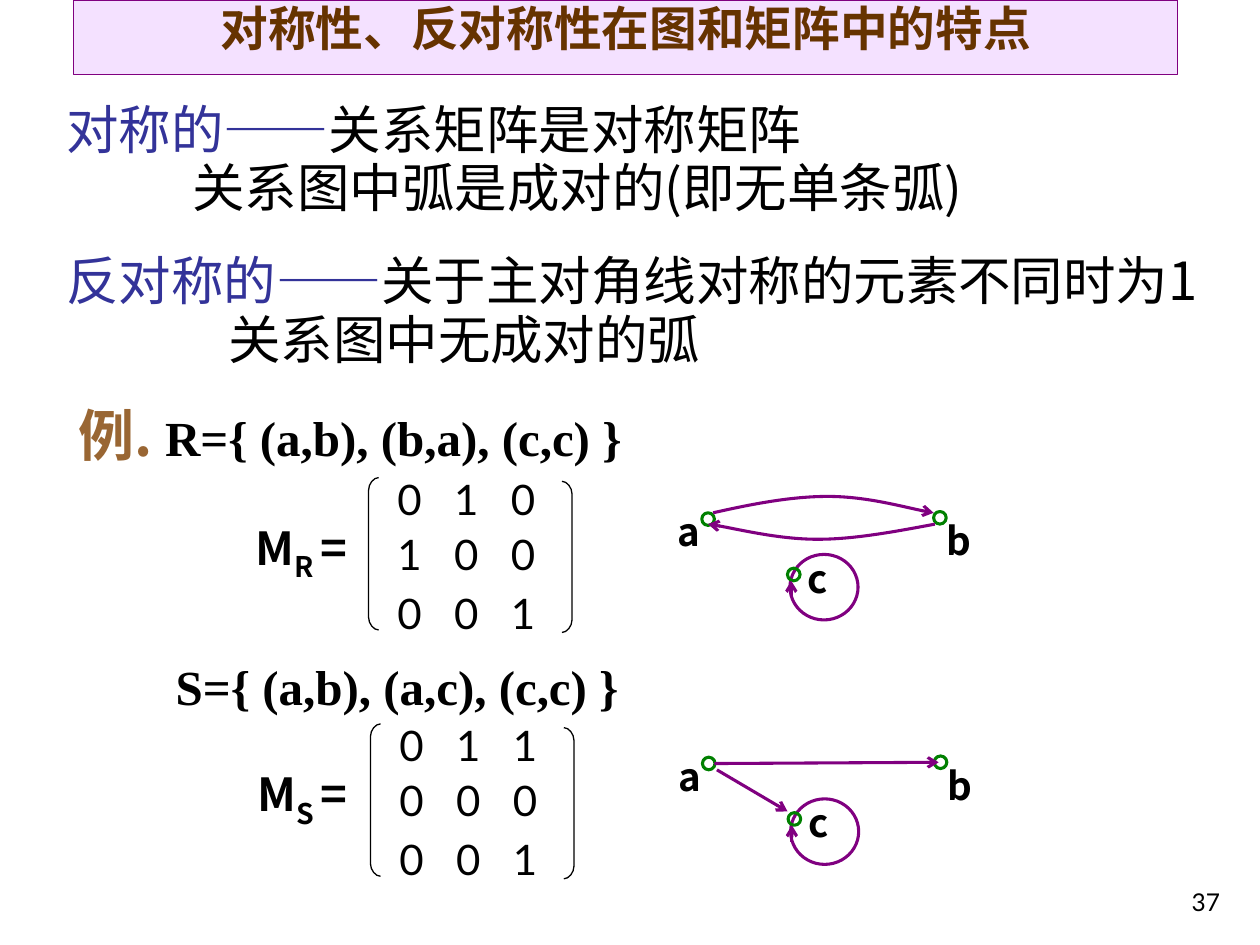
from dataclasses import dataclass
from typing import NamedTuple

from lxml import etree
from pptx import Presentation, util as u
from pptx.dml.color import RGBColor
from pptx.enum import shapes, text
from pptx.oxml import ns


@dataclass(frozen=True)
class Theme:
    black: str = "000000"
    banner: str = "F4E1FF"
    heading: str = "663300"
    term: str = "333399"
    example: str = "996633"
    arc: str = "800080"
    node: str = "008000"
    cjk: str = "Noto Sans CJK SC"
    sans: str = "Lato"
    serif: str = "Times New Roman"
    title_size: float = 27.2
    body_size: float = 30
    example_size: float = 32
    set_size: float = 28
    name_size: float = 26
    entry_size: float = 24
    node_size: float = 22
    number_size: float = 14
    arc_width: float = 1.75
    thin: float = 0.75


class Point(NamedTuple):
    col: float
    row: float

    def moved(self, other: "Point") -> "Point":
        return Point(self.col + other.col, self.row + other.row)


class Bezier(NamedTuple):
    first: Point
    second: Point
    end: Point


@dataclass(frozen=True)
class Relation:
    name: str
    matrix: tuple[str, ...]
    matrix_shift: Point
    graph_shift: Point
    arcs: tuple[tuple[Point, Point], ...] = ()
    bends: tuple[tuple[Point | Bezier, ...], ...] = ()


THEME = Theme()
COLUMNS, ROWS = 100, 75
CELL = u.Inches(0.1)
NODE = 1.0
MATRIX_PITCH = (33, 31.5, 33.7)

RELATIONS = (
    Relation("R", ("010", "100", "001"), Point(0, 0), Point(0, 0), bends=(
        (Point(56.6, 40.7),
         Bezier(Point(59.7, 40), Point(62.8, 39.4), Point(65.7, 39.4)),
         Bezier(Point(68.7, 39.4), Point(72.7, 40.5), Point(74.1, 40.7))),
        (Point(74.2, 41.6),
         Bezier(Point(71, 42.2), Point(67.8, 42.8), Point(64.9, 42.8)),
         Bezier(Point(61.9, 42.8), Point(57.7, 41.8), Point(56.2, 41.6))))),
    Relation("S", ("011", "000", "001"), Point(0.15, 19.55), Point(0.05, 19.4), arcs=(
        (Point(56.7, 60.6), Point(74.5, 60.5)),
        (Point(56.9, 61.1), Point(62.5, 64.4)))),
)


def grid(cells: float) -> int:
    return round(cells * CELL)


def color(value: str) -> RGBColor:
    return RGBColor.from_string(value)


def write(paragraph, words: str, *, size: float, font: str = THEME.cjk,
          ink: str = THEME.black, bold: bool = False, baseline: int = 0) -> None:
    run = paragraph.add_run()
    run.text = words
    run.font.size, run.font.bold, run.font.name = u.Pt(size), bold, font
    run.font.color.rgb = color(ink)
    props = run.font._element
    etree.SubElement(props, ns.qn("a:ea")).set("typeface", THEME.cjk)
    if baseline:
        props.set("baseline", str(baseline * 1000))


def prepare(frame, wrap: bool = False):
    frame.margin_left = frame.margin_right = frame.margin_top = frame.margin_bottom = 0
    frame.word_wrap = wrap
    frame.auto_size = text.MSO_AUTO_SIZE.NONE
    frame.vertical_anchor = text.MSO_ANCHOR.TOP
    return frame


def text_area(slide, at: Point, width: float, height: float, wrap: bool = False):
    box = slide.shapes.add_textbox(grid(at.col), grid(at.row), grid(width), grid(height))
    return prepare(box.text_frame, wrap)


def outline(shape, ink: str, width: float, arrow: bool = False) -> None:
    shape.line.color.rgb = color(ink)
    shape.line.width = u.Pt(width)
    if arrow:
        etree.SubElement(shape.line._get_or_add_ln(), ns.qn("a:tailEnd")).set("type", "arrow")


def ring(slide, at: Point, width: float, height: float, ink: str) -> None:
    oval = slide.shapes.add_shape(shapes.MSO_SHAPE.OVAL, grid(at.col), grid(at.row),
                                  grid(width), grid(height))
    oval.shadow.inherit = False
    oval.fill.background()
    outline(oval, ink, THEME.arc_width)


def arrow(slide, start: Point, end: Point) -> None:
    link = slide.shapes.add_connector(shapes.MSO_CONNECTOR.STRAIGHT,
                                      *(grid(v) for v in (*start, *end)))
    outline(link, THEME.arc, THEME.arc_width, arrow=True)
    etree.SubElement(link._element.spPr, ns.qn("a:effectLst"))


def curve(slide, parts: tuple[Point | Bezier, ...], ink: str, width: float,
          arrow: bool = False) -> None:
    start, *steps = parts
    builder = slide.shapes.build_freeform(grid(start.col), grid(start.row))
    for step in steps:
        points = step if isinstance(step, Bezier) else (step,)
        builder.add_line_segments([(grid(p.col), grid(p.row)) for p in points], close=False)
    shape = builder.convert_to_shape()
    lines = iter(shape._element.findall(".//" + ns.qn("a:lnTo")))
    for step in steps:
        line = next(lines)
        if isinstance(step, Bezier):
            line.tag = ns.qn("a:cubicBezTo")
            for _ in range(2):
                extra = next(lines)
                line.append(extra[0])
                extra.getparent().remove(extra)
    shape.shadow.inherit = False
    shape.fill.background()
    outline(shape, ink, width, arrow)


def bracket(slide, tip: Point, depth: float, height: float) -> None:
    side, half = tip.col + depth, tip.col + depth / 2
    top, bottom = tip.row, tip.row + height
    curve(slide, (
        tip,
        Bezier(Point(half, top), Point(side, top + 0.5), Point(side, top + 1)),
        Point(side, bottom - 1),
        Bezier(Point(side, bottom - 0.5), Point(half, bottom), Point(tip.col, bottom))),
        THEME.black, THEME.thin)


def draw_matrix(slide, relation: Relation) -> None:
    shift = relation.matrix_shift
    name = text_area(slide, Point(20.3, 41).moved(shift), 9, 6).paragraphs[0]
    write(name, "M", size=THEME.name_size, bold=True)
    write(name, relation.name + " ", size=THEME.set_size, bold=True, baseline=-25)
    write(name, "=", size=THEME.name_size, bold=True)
    bracket(slide, Point(30.05, 37.9).moved(shift), -0.8, 12.1)
    bracket(slide, Point(44.6, 38.2).moved(shift), 0.8, 12)
    frame = text_area(slide, Point(31.55, 37).moved(shift), 14, 14)
    for index, (entries, pitch) in enumerate(zip(relation.matrix, MATRIX_PITCH)):
        line = frame.add_paragraph() if index else frame.paragraphs[0]
        line.line_spacing = u.Pt(pitch)
        tabs = etree.SubElement(line._p.get_or_add_pPr(), ns.qn("a:tabLst"))
        for column in range(1, len(entries)):
            tab = etree.SubElement(tabs, ns.qn("a:tab"))
            tab.set("pos", str(grid(4.5 * column)))
            tab.set("algn", "l")
        write(line, "\t".join(entries), size=THEME.entry_size, font=THEME.sans)


def draw_graph(slide, relation: Relation) -> None:
    shift = relation.graph_shift
    ring(slide, Point(62.7, 44).moved(shift), 5.4, 5.2, THEME.arc)
    for label, node, caption in (("a", Point(55.7, 40.7), Point(53.8, 40.35)),
                                 ("b", Point(74.1, 40.6), Point(75.15, 41.05)),
                                 ("c", Point(62.5, 45.1), Point(64.1, 44.05))):
        ring(slide, node.moved(shift), NODE, NODE, THEME.node)
        line = text_area(slide, caption.moved(shift), 2.2, 4.5).paragraphs[0]
        write(line, label, size=THEME.node_size, bold=True)
    arrow(slide, Point(62.8, 47.4).moved(shift), Point(62.8, 46.1).moved(shift))
    for start, end in relation.arcs:
        arrow(slide, start, end)
    for parts in relation.bends:
        curve(slide, parts, THEME.arc, THEME.arc_width, arrow=True)


def draw_title(slide) -> None:
    title = slide.shapes.title
    title.left, title.top, title.width, title.height = map(grid, (5.85, 0, 87.6, 5.9))
    title.fill.solid()
    title.fill.fore_color.rgb = color(THEME.banner)
    outline(title, THEME.arc, THEME.thin)
    line = prepare(title.text_frame, wrap=True).paragraphs[0]
    line.alignment = text.PP_ALIGN.CENTER
    line.line_spacing = u.Pt(32)
    write(line, "对称性、反对称性在图和矩阵中的特点", size=THEME.title_size,
          ink=THEME.heading, bold=True)


def draw_definitions(slide) -> None:
    frame = text_area(slide, Point(5.25, 8), 94.75, 22, wrap=True)
    for index, (term, meaning, indent) in enumerate((
            ("对称的", "关系矩阵是对称矩阵", 0),
            ("", "关系图中弧是成对的(即无单条弧)", 10),
            ("反对称的", "关于主对角线对称的元素不同时为1", 0),
            ("", "关系图中无成对的弧", 12.85))):
        line = frame.add_paragraph() if index else frame.paragraphs[0]
        line.line_spacing = u.Pt(33.6)
        line._p.get_or_add_pPr().set("marL", str(grid(indent)))
        if term:
            line.space_before = u.Pt(19.5 if index else 0)
            write(line, term, size=THEME.body_size, ink=THEME.term)
            write(line, "——", size=THEME.body_size, ink=THEME.term, font=THEME.sans)
        write(line, meaning, size=THEME.body_size)


def main() -> None:
    deck = Presentation()
    deck.slide_width, deck.slide_height = grid(COLUMNS), grid(ROWS)
    slide = deck.slides.add_slide(deck.slide_layouts[5])
    draw_title(slide)
    draw_definitions(slide)
    first = text_area(slide, Point(6.2, 31.75), 60, 6).paragraphs[0]
    write(first, "例. ", size=THEME.example_size, ink=THEME.example, bold=True)
    second = text_area(slide, Point(13.95, 52.1), 50, 5).paragraphs[0]
    for line, pairs in ((first, "R={ (a,b), (b,a), (c,c) }"),
                        (second, "S={ (a,b), (a,c), (c,c) }")):
        write(line, pairs, size=THEME.set_size, font=THEME.serif, bold=True)
    for relation in RELATIONS:
        draw_matrix(slide, relation)
        draw_graph(slide, relation)
    number = text_area(slide, Point(77, 70.4), 19.85, 2.5).paragraphs[0]
    number.alignment = text.PP_ALIGN.RIGHT
    write(number, "37", size=THEME.number_size, font=THEME.sans)
    deck.save("out.pptx")


if __name__ == "__main__":
    main()
